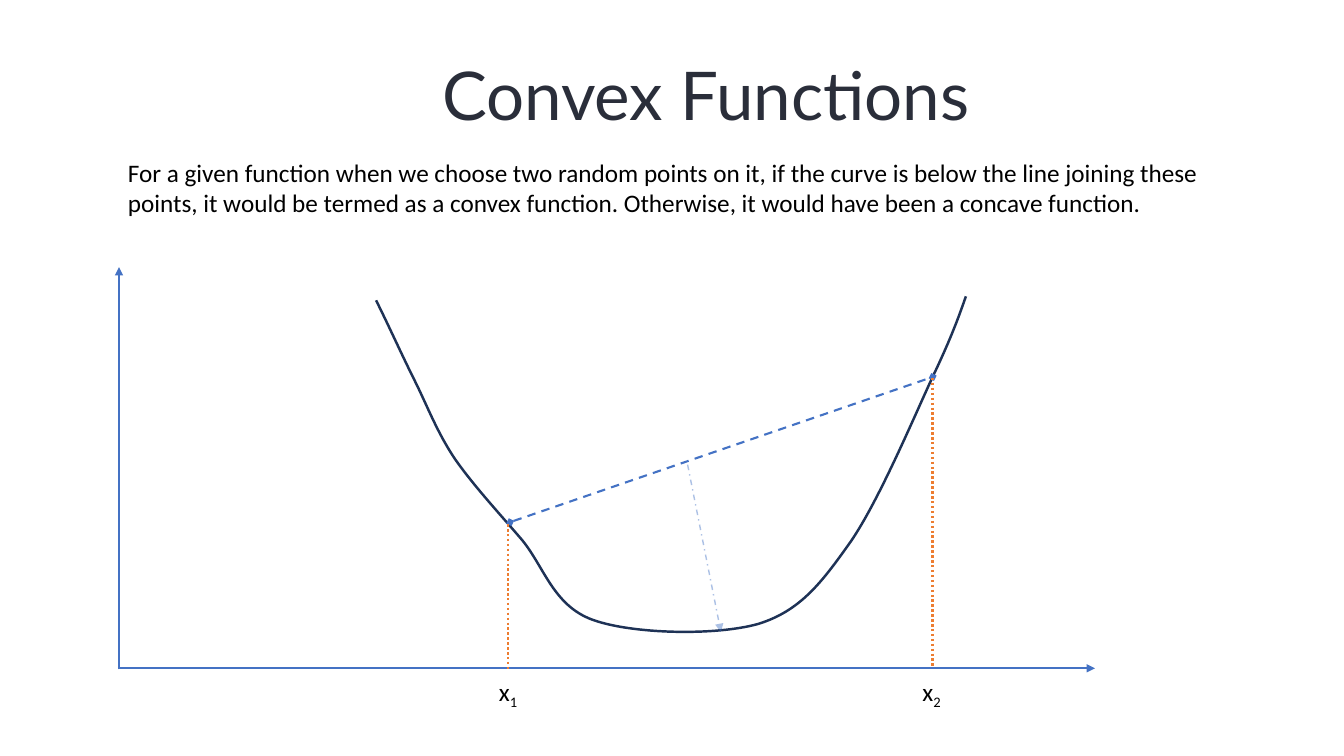
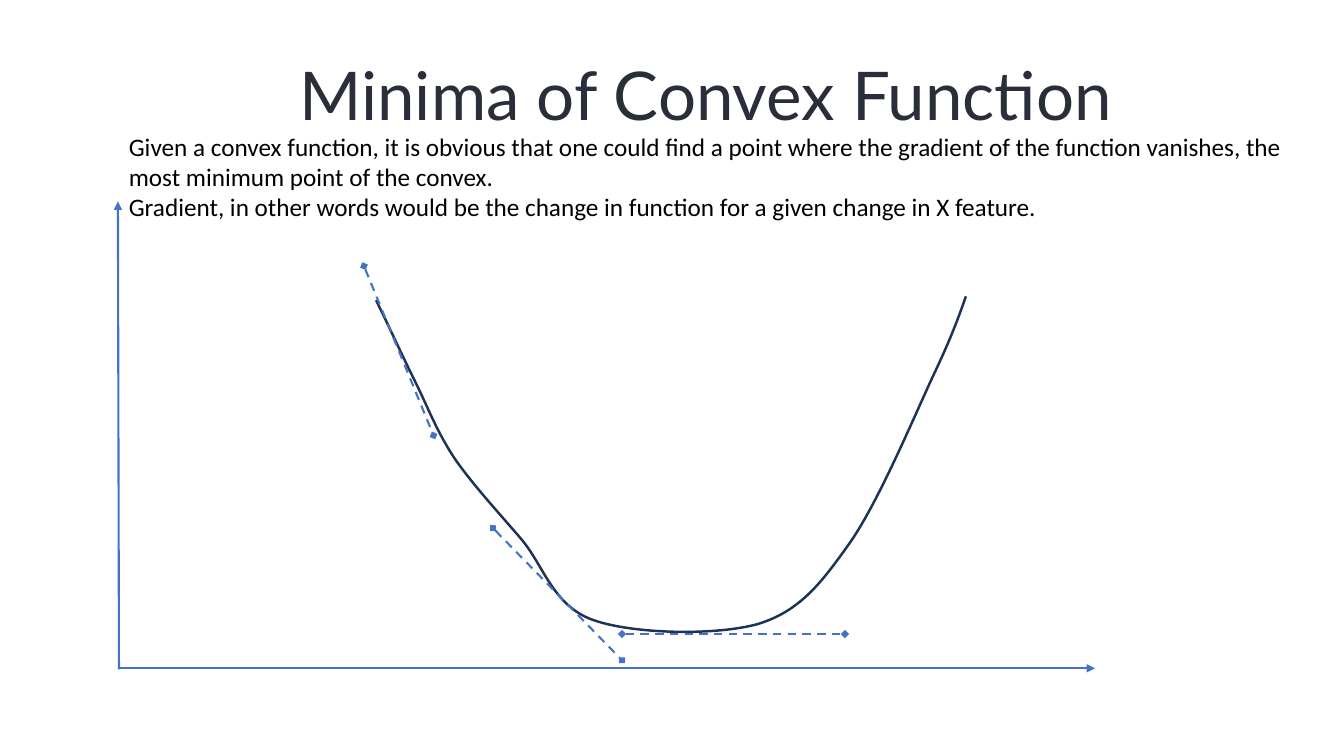
from dataclasses import dataclass

from lxml import etree
from pptx import Presentation
from pptx.dml.color import RGBColor
from pptx.enum.dml import MSO_LINE
from pptx.enum.shapes import MSO_CONNECTOR
from pptx.enum.text import MSO_ANCHOR, MSO_AUTO_SIZE, PP_ALIGN
from pptx.oxml.ns import qn
from pptx.slide import Slide
from pptx.text.text import TextFrame
from pptx.util import Emu, Pt

PX = 9144
NAVY = RGBColor(0x1E, 0x32, 0x56)
BLUE = RGBColor(0x44, 0x72, 0xC4)
ORANGE = RGBColor(0xED, 0x7D, 0x31)
SLATE = RGBColor(0x2A, 0x2E, 0x3A)
BLACK = RGBColor(0, 0, 0)
DASH = MSO_LINE.DASH
DOT = MSO_LINE.ROUND_DOT
MIXED = MSO_LINE.DASH_DOT
STRAIGHT = MSO_CONNECTOR.STRAIGHT
CENTER = PP_ALIGN.CENTER
TOP = MSO_ANCHOR.TOP
GROW = MSO_AUTO_SIZE.SHAPE_TO_FIT_TEXT
TITLE_ONLY = 5

CURVE = [
    (373, 298),
    (386, 324), (398, 351), (411, 377),
    (424, 403), (433, 428), (451, 455),
    (469, 481), (495, 509), (518, 536),
    (540, 563), (549, 601), (588, 615),
    (627, 629), (709, 631), (752, 619),
    (794, 606), (815, 578), (844, 537),
    (872, 496), (906, 415), (925, 374),
    (944, 334), (951, 314), (958, 294),
]


@dataclass(frozen=True)
class Line:
    start: tuple[int, int]
    end: tuple[int, int]
    color: RGBColor = BLUE
    width: float = 1.5
    dash: MSO_LINE | None = None
    head: str = ""
    tail: str = ""
    alpha: int = 100


@dataclass(frozen=True)
class Box:
    left: int
    top: int
    width: int
    height: int
    texts: tuple[str, ...]
    sub: str = ""


@dataclass(frozen=True)
class Page:
    title: str
    lines: list[Line]
    boxes: list[Box]


def axis(start: tuple[int, int], end: tuple[int, int]) -> Line:
    return Line(start, end, tail="triangle")


def chord(start: tuple[int, int], end: tuple[int, int]) -> Line:
    return Line(start, end, dash=DASH, head="diamond", tail="diamond")


def drop(start: tuple[int, int], end: tuple[int, int]) -> Line:
    return Line(start, end, ORANGE, 1.75, DOT)


BASE = axis((117, 663), (1086, 663))

PAGES = [
    Page(
        "Convex Functions",
        [
            BASE,
            axis((118, 664), (118, 265)),
            chord((506, 518), (925, 374)),
            drop((504, 520), (504, 664)),
            drop((925, 375), (925, 663)),
            Line((682, 461), (715, 627), width=1, dash=MIXED,
                 tail="triangle", alpha=43),
        ],
        [
            Box(485, 666, 45, 40, ("x",), "1"),
            Box(905, 666, 45, 40, ("x",), "2"),
            Box(117, 151, 1138, 71, (
                "For a given function when we choose two random points on it, "
                "if the curve is below the line joining these points, it would "
                "be termed as a convex function. Otherwise, it would have been "
                "a concave function.",
            )),
        ],
    ),
    Page(
        "Minima of Convex Function",
        [
            BASE,
            axis((118, 664), (117, 200)),
            chord((361, 264), (430, 432)),
            chord((489, 524), (617, 655)),
            chord((617, 629), (838, 629)),
        ],
        [
            Box(118, 125, 1164, 131, (
                "Given a convex function, it is obvious that one could find a "
                "point where the gradient of the function vanishes, the most "
                "minimum point of the convex.",
                "Gradient, in other words would be the change in function for "
                "a given change in X feature.",
            )),
        ],
    ),
]


def px(size: int) -> Emu:
    return Emu(size * PX)


def set_up(frame: TextFrame) -> None:
    frame.word_wrap = True
    frame.auto_size = GROW
    frame.vertical_anchor = TOP


def add_title(slide: Slide, text: str) -> None:
    title = slide.shapes.title
    title.left, title.top = px(100), px(0)
    title.width, title.height = px(1200), px(121)
    frame = title.text_frame
    set_up(frame)
    frame.margin_left = frame.margin_right = 0
    frame.margin_top = frame.margin_bottom = 0
    frame.text = text
    para = frame.paragraphs[0]
    para.alignment = CENTER
    para.line_spacing = Pt(96)
    para.font.name = "Lato"
    para.font.size = Pt(48)
    para.font.color.rgb = SLATE


def add_curve(slide: Slide) -> None:
    pen = slide.shapes.build_freeform(*CURVE[0], scale=PX)
    pen.add_line_segments(CURVE[1:], close=False)
    curve = pen.convert_to_shape()
    curve.shadow.inherit = False
    curve.fill.background()
    curve.line.color.rgb = NAVY
    curve.line.width = Pt(1.75)
    steps = list(curve._element.iter(qn("a:lnTo")))
    route = steps[0].getparent()
    for i in range(0, len(steps), 3):
        bend = etree.SubElement(route, qn("a:cubicBezTo"))
        for step in steps[i:i + 3]:
            bend.append(step[0])
            route.remove(step)


def add_line(slide: Slide, spec: Line) -> None:
    ends = [px(n) for n in (*spec.start, *spec.end)]
    link = slide.shapes.add_connector(STRAIGHT, *ends)
    link.line.color.rgb = spec.color
    link.line.width = Pt(spec.width)
    if spec.dash is not None:
        link.line.dash_style = spec.dash
    props = link._element.spPr
    stroke = props.find(qn("a:ln"))
    if spec.alpha < 100:
        tint = next(stroke.iter(qn("a:srgbClr")))
        etree.SubElement(tint, qn("a:alpha"), val=str(spec.alpha * 1000))
    for tag, kind in (("a:headEnd", spec.head), ("a:tailEnd", spec.tail)):
        if kind:
            etree.SubElement(stroke, qn(tag), type=kind)
    etree.SubElement(props, qn("a:effectLst"))


def add_box(slide: Slide, spec: Box) -> None:
    area = [px(n) for n in (spec.left, spec.top, spec.width, spec.height)]
    frame = slide.shapes.add_textbox(*area).text_frame
    set_up(frame)
    frame.text = "\n".join(spec.texts)
    for para in frame.paragraphs:
        para.font.name = "Calibri"
        para.font.size = Pt(18)
        para.font.color.rgb = BLACK
    if spec.sub:
        run = frame.paragraphs[0].add_run()
        run.text = spec.sub
        run.font._element.set("baseline", "-25000")


def main() -> None:
    deck = Presentation()
    deck.slide_width, deck.slide_height = px(1333), px(750)
    for page in PAGES:
        slide = deck.slides.add_slide(deck.slide_layouts[TITLE_ONLY])
        add_title(slide, page.title)
        add_curve(slide)
        for line in page.lines:
            add_line(slide, line)
        for box in page.boxes:
            add_box(slide, box)
    deck.save("out.pptx")


if __name__ == "__main__":
    main()
